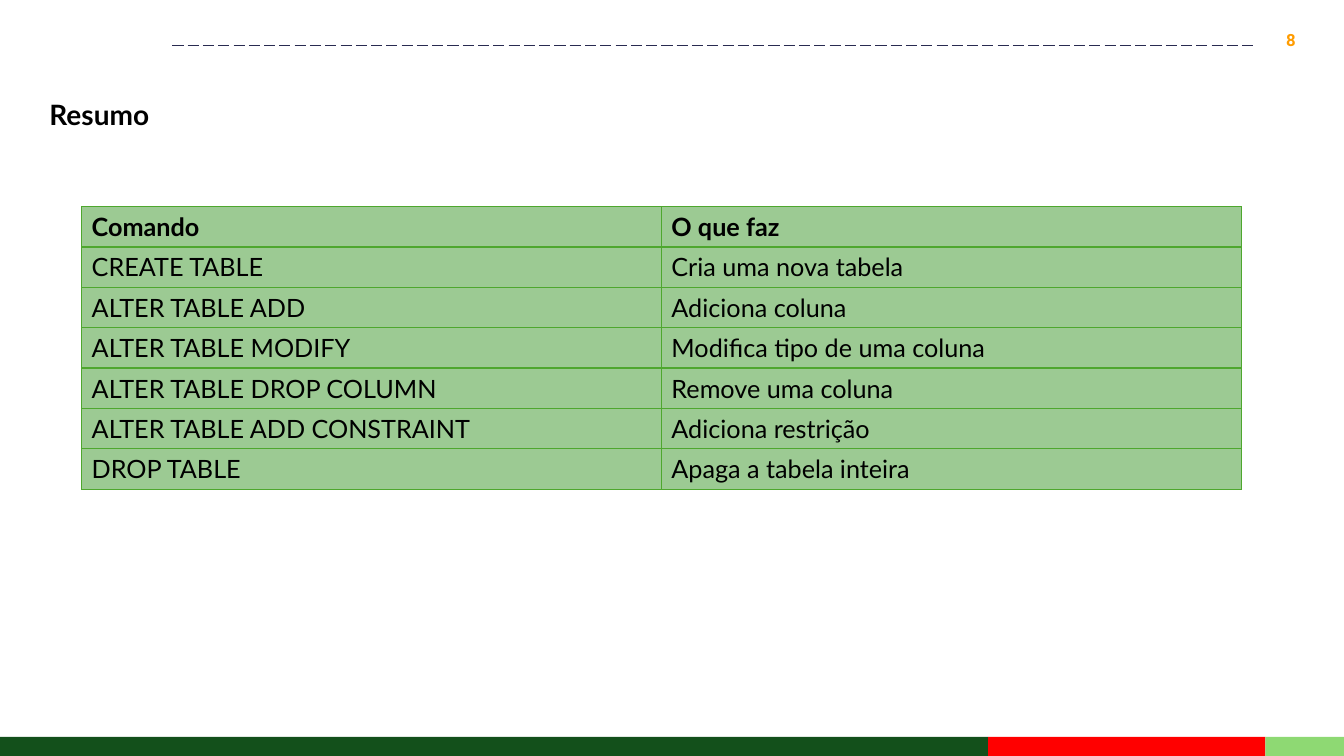
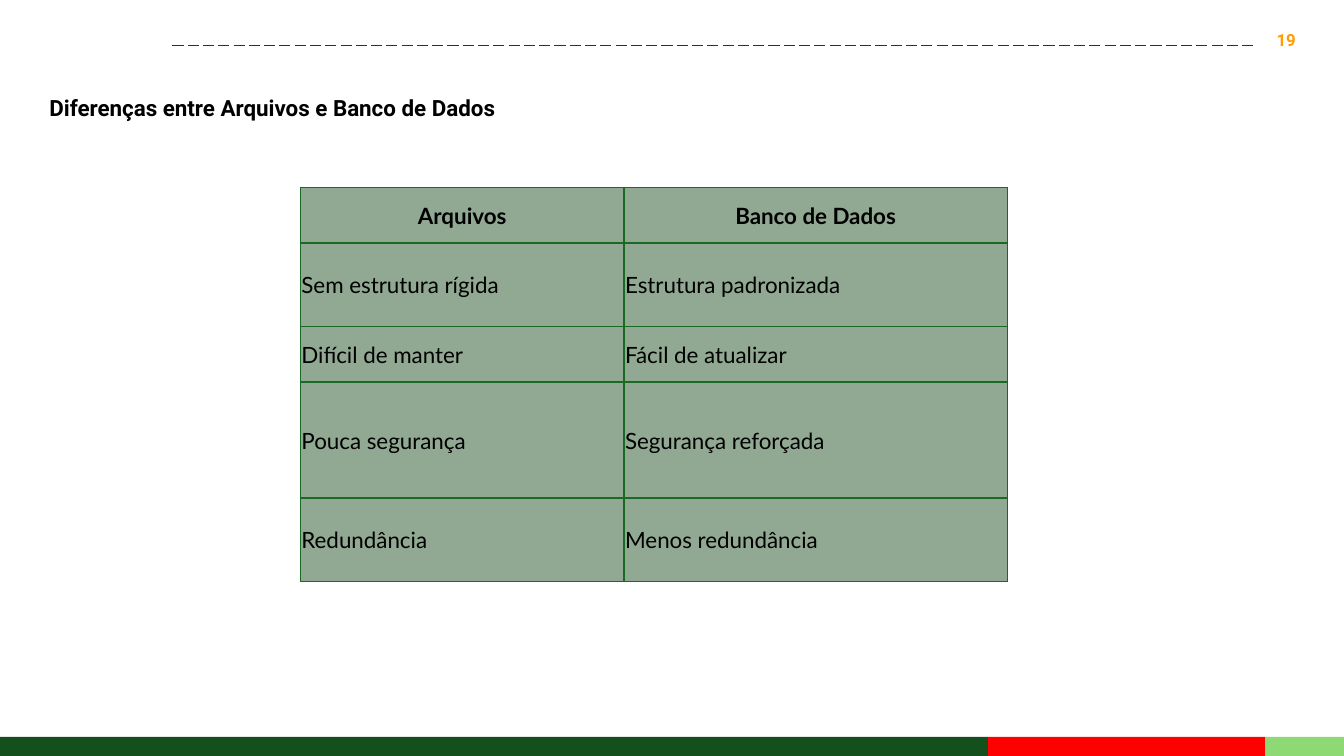
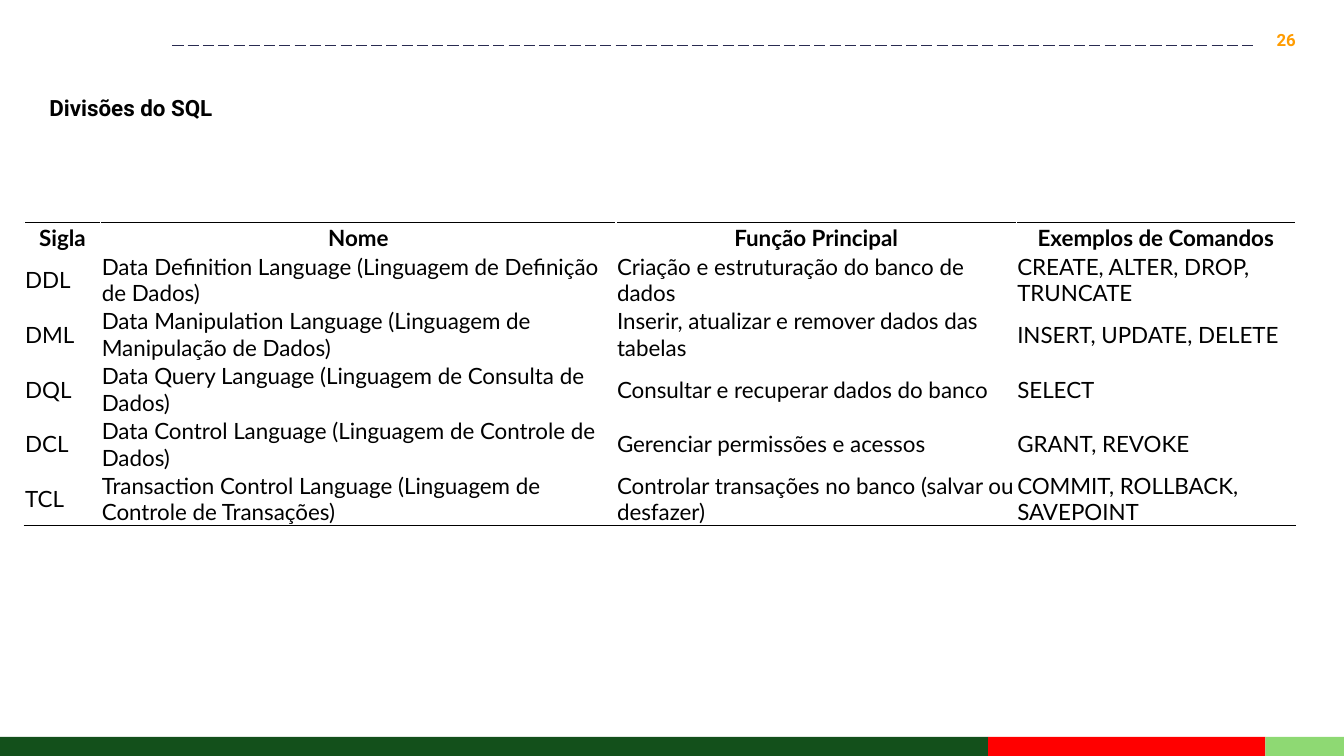
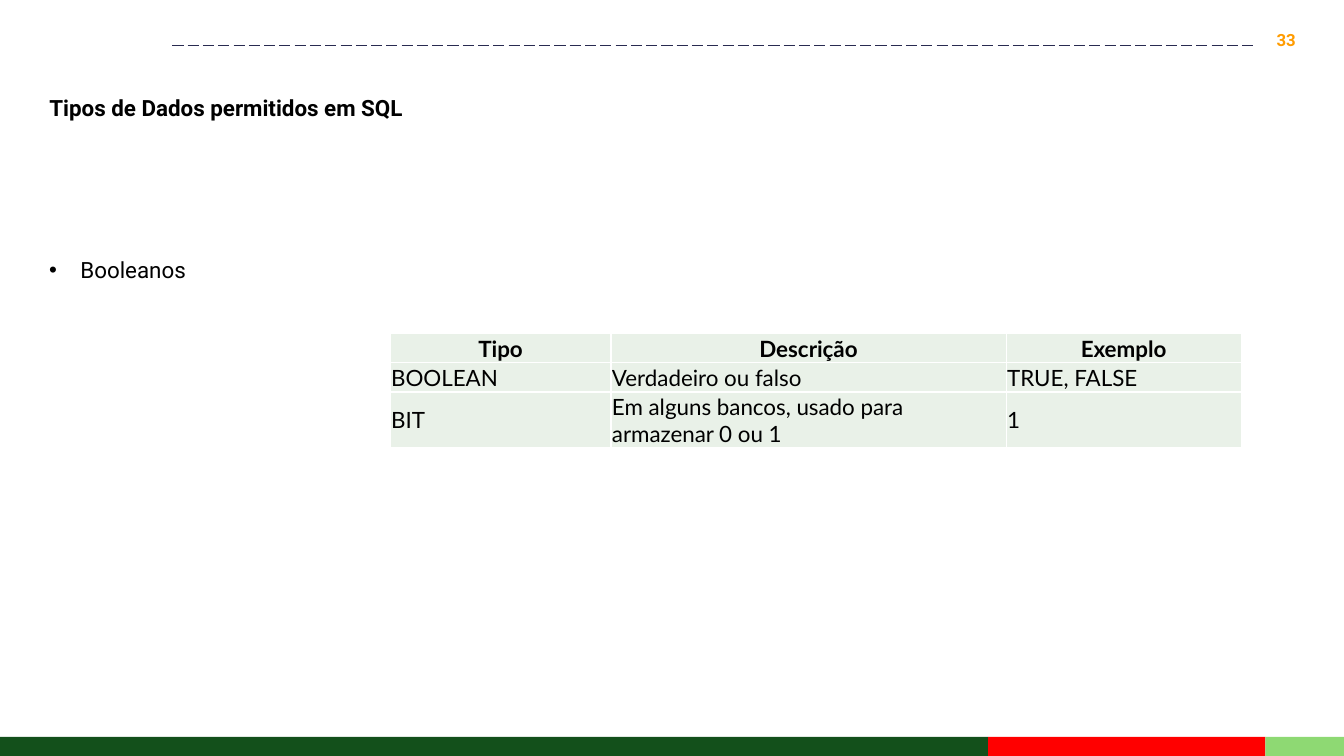
from dataclasses import dataclass

from lxml import etree
from pptx import Presentation
from pptx.dml.color import RGBColor
from pptx.enum.dml import MSO_LINE
from pptx.enum.shapes import MSO_CONNECTOR, MSO_SHAPE
from pptx.enum.text import MSO_ANCHOR, MSO_AUTO_SIZE, PP_ALIGN
from pptx.oxml.ns import qn
from pptx.util import Inches, Pt

LEFT, CENTER, RIGHT = PP_ALIGN.LEFT, PP_ALIGN.CENTER, PP_ALIGN.RIGHT
TOP, MIDDLE = MSO_ANCHOR.TOP, MSO_ANCHOR.MIDDLE
RECT, STRAIGHT = MSO_SHAPE.RECTANGLE, MSO_CONNECTOR.STRAIGHT
DASH, GROW = MSO_LINE.LONG_DASH, MSO_AUTO_SIZE.SHAPE_TO_FIT_TEXT

WIDTH, HEIGHT = 13.33, 7.5
BAND_TOP = 7.31
BLACK, ORANGE, NAVY = "000000", "FF9C00", "292B51"
HEAD, BODY = "Roboto", "Lato"
TITLE_ONLY = 5
TIGHT = (0.01, 0.01, 0.01, 0)
ROOMY = (0.1, 0.05, 0.1, 0.05)


@dataclass(frozen=True)
class Band:
    left: float
    width: float
    color: str


@dataclass(frozen=True)
class Grid:
    left: float
    top: float
    cols: list[float]
    rows: list[float]
    cells: list[list[str]]
    fill: str | None = None
    edge: str = BLACK
    boxed: bool = True  # otherwise only the outer top and bottom are ruled
    size: int = 16
    align: PP_ALIGN = CENTER
    inset: tuple = TIGHT


@dataclass(frozen=True)
class Page:
    number: int
    title: str
    grid: Grid
    font: str = HEAD
    size: int = 16
    height: float = 0.46
    bullet: str = ""


BANDS = [
    Band(0, 9.8, "13501B"),
    Band(9.8, 2.75, "FF0000"),
    Band(12.55, 0.78, "8ED973"),
]

PAGES = [
    Page(8, "Resumo", Grid(
        0.81, 2.05, [5.75] * 2, [0.4] * 7,
        [
            ["Comando", "O que faz"],
            ["CREATE TABLE", "Cria uma nova tabela"],
            ["ALTER TABLE ADD", "Adiciona coluna"],
            ["ALTER TABLE MODIFY", "Modifica tipo de uma coluna"],
            ["ALTER TABLE DROP COLUMN", "Remove uma coluna"],
            ["ALTER TABLE ADD CONSTRAINT", "Adiciona restrição"],
            ["DROP TABLE", "Apaga a tabela inteira"],
        ],
        fill="9CCA93", edge="4EA72E", size=18, align=LEFT, inset=ROOMY,
    ), font=BODY, size=20, height=0.56),
    Page(19, "Diferenças entre Arquivos e Banco de Dados", Grid(
        2.98, 1.86, [3.21, 3.8], [0.55, 0.83, 0.55, 1.15, 0.83],
        [
            ["Arquivos", "Banco de Dados"],
            ["Sem estrutura rígida", "Estrutura padronizada"],
            ["Difícil de manter", "Fácil de atualizar"],
            ["Pouca segurança", "Segurança reforçada"],
            ["Redundância", "Menos redundância"],
        ],
        fill="91A892", edge="196B24",
    )),
    Page(26, "Divisões do SQL", Grid(
        0.24, 2.21, [0.76, 5.11, 3.97, 2.77], [0.29] + [0.54] * 5,
        [
            ["Sigla", "Nome", "Função Principal", "Exemplos de Comandos"],
            ["DDL", "Data Definition Language (Linguagem de Definição de Dados)",
             "Criação e estruturação do banco de dados",
             "CREATE, ALTER, DROP, TRUNCATE"],
            ["DML", "Data Manipulation Language (Linguagem de Manipulação de Dados)",
             "Inserir, atualizar e remover dados das tabelas",
             "INSERT, UPDATE, DELETE"],
            ["DQL", "Data Query Language (Linguagem de Consulta de Dados)",
             "Consultar e recuperar dados do banco", "SELECT"],
            ["DCL", "Data Control Language (Linguagem de Controle de Dados)",
             "Gerenciar permissões e acessos", "GRANT, REVOKE"],
            ["TCL", "Transaction Control Language (Linguagem de Controle de Transações)",
             "Controlar transações no banco (salvar ou desfazer)",
             "COMMIT, ROLLBACK, SAVEPOINT"],
        ],
        boxed=False,
    )),
    Page(33, "Tipos de Dados permitidos em SQL", Grid(
        3.87, 3.31, [2.19, 3.92, 2.33], [0.29, 0.29, 0.55],
        [
            ["Tipo", "Descrição", "Exemplo"],
            ["BOOLEAN", "Verdadeiro ou falso", "TRUE, FALSE"],
            ["BIT", "Em alguns bancos, usado para armazenar 0 ou 1", "1"],
        ],
        fill="E9F1E8", edge="FFFFFF",
    ), bullet="Booleanos"),
]


def paint(fill, color: str) -> None:
    fill.solid()
    fill.fore_color.rgb = RGBColor.from_string(color)


def mark(para) -> None:
    """Give a paragraph a round bullet with a hanging indent."""
    props = para._p.get_or_add_pPr()
    props.set("marL", str(Inches(0.31)))
    props.set("indent", str(-Inches(0.31)))
    etree.SubElement(props, qn("a:buFont"), typeface="Arial")
    etree.SubElement(props, qn("a:buChar"), char="•")


def write(frame, text: str, *, size: int = 16, font: str = HEAD,
          color: str = BLACK, bold: bool = False, align: PP_ALIGN = LEFT,
          space: float | None = None, bullet: bool = False) -> None:
    frame.text = text
    para = frame.paragraphs[0]
    if bullet:
        mark(para)
    para.alignment = align
    para.line_spacing = space
    face = para.runs[0].font
    face.name, face.size, face.bold = font, Pt(size), bold
    face.color.rgb = RGBColor.from_string(color)


def place(shape, left: float, top: float, width: float, height: float) -> None:
    shape.left, shape.top = Inches(left), Inches(top)
    shape.width, shape.height = Inches(width), Inches(height)


def add_text(slide, left: float, top: float, width: float, height: float,
             text: str, anchor: MSO_ANCHOR = TOP, **style):
    box = slide.shapes.add_textbox(*map(Inches, (left, top, width, height)))
    frame = box.text_frame
    frame.word_wrap = True
    frame.vertical_anchor = anchor
    write(frame, text, **style)
    return frame


def add_frame(slide, number: int) -> None:
    """Draw the bottom bands, the page number and the dashed rule."""
    for band in BANDS:
        bar = slide.shapes.add_shape(RECT, *map(Inches, (
            band.left, BAND_TOP, band.width, HEIGHT - BAND_TOP)))
        bar.shadow.inherit = False
        paint(bar.fill, band.color)
        bar.line.fill.background()
    add_text(slide, 12.44, 0.2, 0.51, 0.4, str(number), MIDDLE,
             size=12, color=ORANGE, bold=True, align=RIGHT)
    rule = slide.shapes.add_connector(
        STRAIGHT, *map(Inches, (1.71, 0.45, 12.44, 0.45)))
    paint(rule.line.fill, NAVY)
    rule.line.width = Pt(1)
    rule.line.dash_style = DASH
    etree.SubElement(rule._element.spPr, qn("a:effectLst"))


def add_title(slide, page: Page) -> None:
    title = slide.shapes.title
    place(title, 0.39, 0.75, 7.89, page.height)
    frame = title.text_frame
    frame.word_wrap = True
    frame.vertical_anchor = TOP
    frame.auto_size = GROW
    write(frame, page.title, size=page.size, font=page.font, bold=True, space=1.5)


def add_edges(cell, sides: str, color: str) -> None:
    """Rule the given sides of a cell, named by L, R, T and B in that order."""
    props = cell._tc.get_or_add_tcPr()
    for side in sides:
        line = etree.SubElement(props, qn(f"a:ln{side}"), w=str(Pt(1)))
        fill = etree.SubElement(line, qn("a:solidFill"))
        etree.SubElement(fill, qn("a:srgbClr"), val=color)


def add_grid(slide, grid: Grid) -> None:
    count = len(grid.rows)
    table = slide.shapes.add_table(count, len(grid.cols), *map(Inches, (
        grid.left, grid.top, sum(grid.cols), sum(grid.rows)))).table
    table.first_row = table.horz_banding = False
    for col, width in zip(table.columns, grid.cols):
        col.width = Inches(width)
    for i, (row, height) in enumerate(zip(table.rows, grid.rows)):
        row.height = Inches(height)
        ends = ("T" if i == 0 else "") + ("B" if i == count - 1 else "")
        for cell, text in zip(row.cells, grid.cells[i]):
            add_edges(cell, "LRTB" if grid.boxed else ends, grid.edge)
            if grid.fill:
                paint(cell.fill, grid.fill)
            else:
                cell.fill.background()
            cell.vertical_anchor = MIDDLE
            (cell.margin_left, cell.margin_top,
             cell.margin_right, cell.margin_bottom) = map(Inches, grid.inset)
            write(cell.text_frame, text, size=grid.size, font=BODY,
                  bold=i == 0, align=LEFT if i else grid.align)


def main() -> None:
    deck = Presentation()
    deck.slide_width, deck.slide_height = Inches(WIDTH), Inches(HEIGHT)
    for page in PAGES:
        slide = deck.slides.add_slide(deck.slide_layouts[TITLE_ONLY])
        add_frame(slide, page.number)
        add_title(slide, page)
        if page.bullet:
            frame = add_text(slide, 0.39, 2.36, 5.03, 0.46, page.bullet,
                             space=1.5, bullet=True)
            frame.auto_size = GROW
        add_grid(slide, page.grid)
    deck.save("out.pptx")


if __name__ == "__main__":
    main()
